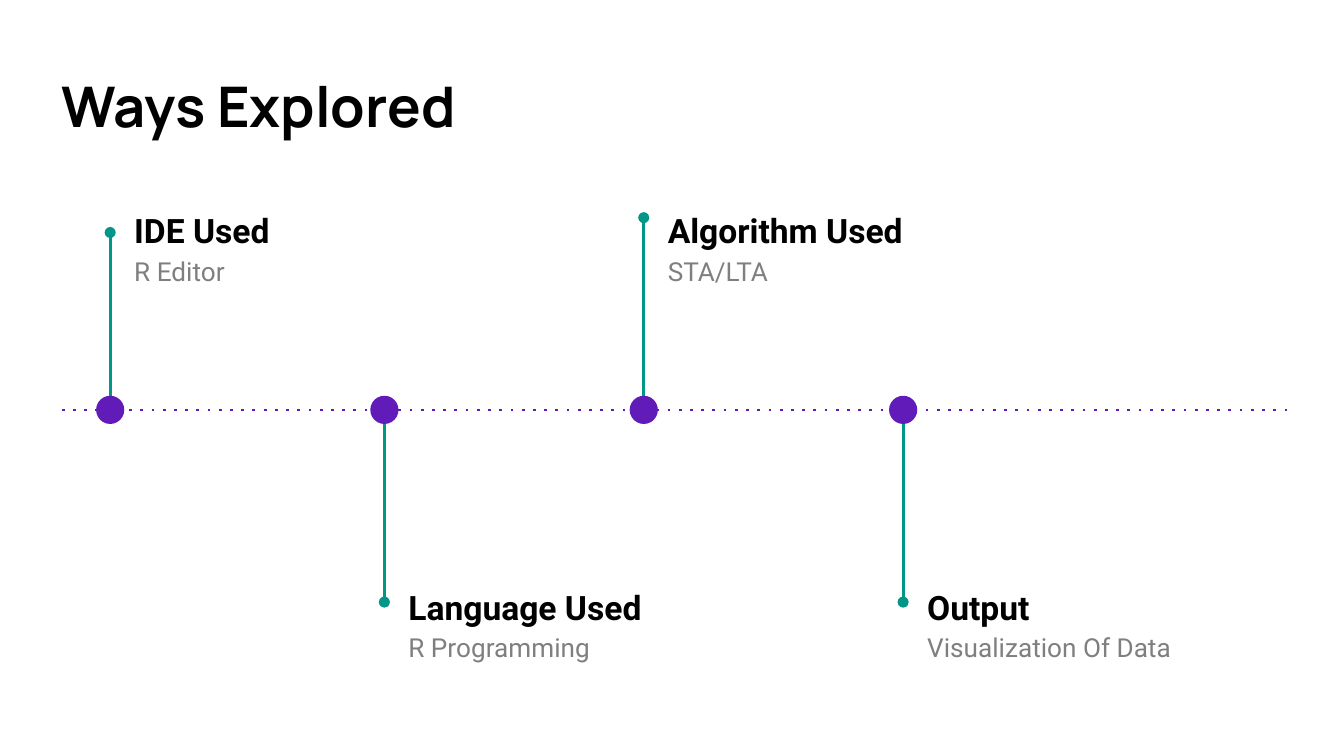
"""Build a timeline slide of four explored ways, set above and below a dotted axis."""
from typing import NamedTuple

from lxml import etree
from pptx import Presentation
from pptx import util as u
from pptx.dml.color import RGBColor
from pptx.enum import shapes, text
from pptx.oxml.ns import qn

PURPLE, TEAL, BLACK, GREY = "611BB8", "009688", "000000", "7F7F7F"
AXIS = 3.05
DOT = 0.21


class Step(NamedTuple):
    x: float
    tip: float
    top: float
    head: str
    note: str


class Style(NamedTuple):
    size: int
    font: str
    color: str
    bold: bool


TITLE = Style(30, "Manrope", BLACK, True)
HEAD = Style(18, "Roboto", BLACK, True)
NOTE = Style(14, "Roboto", GREY, False)

STEPS = [
    Step(0.82, 1.73, 1.42, "IDE Used", "R Editor"),
    Step(2.86, 4.48, 4.22, "Language Used", "R Programming"),
    Step(4.79, 1.62, 1.42, "Algorithm Used", "STA/LTA"),
    Step(6.72, 4.48, 4.22, "Output", "Visualization Of Data"),
]


def paint(target, color: str) -> None:
    target.rgb = RGBColor.from_string(color)


def add_line(slide, start: tuple, end: tuple, color: str, mark: str, kind: str) -> None:
    ends = [u.Inches(n) for n in (*start, *end)]
    line = slide.shapes.add_connector(shapes.MSO_CONNECTOR.STRAIGHT, *ends)
    line.line.width = u.Pt(1.5)
    paint(line.line.color, color)
    props = line._element.spPr
    tag = etree.SubElement(props.find(qn("a:ln")), qn(f"a:{mark}"))
    tag.set("val" if mark == "prstDash" else "type", kind)
    etree.SubElement(props, qn("a:effectLst"))


def add_dot(slide, x: float) -> None:
    box = [u.Inches(n) for n in (x - DOT / 2, AXIS - DOT / 2, DOT, DOT)]
    dot = slide.shapes.add_shape(shapes.MSO_SHAPE.OVAL, *box)
    dot.shadow.inherit = False
    dot.fill.solid()
    paint(dot.fill.fore_color, PURPLE)
    dot.line.fill.background()


def add_text(slide, box: tuple, rows: list[tuple[str, Style]], space: float, anchor) -> None:
    frame = slide.shapes.add_textbox(*[u.Inches(n) for n in box]).text_frame
    frame.word_wrap = True
    frame.vertical_anchor = anchor
    frame.margin_left = frame.margin_right = u.Inches(0.1)
    frame.margin_top = frame.margin_bottom = u.Inches(0.1)
    frame.text = "\n".join(words for words, _ in rows)
    for para, (_, style) in zip(frame.paragraphs, rows):
        para.line_spacing = space
        font = para.runs[0].font
        font.size, font.name, font.bold = u.Pt(style.size), style.font, style.bold
        paint(font.color, style.color)


def add_step(slide, step: Step) -> None:
    edge = AXIS + (DOT / 2 if step.tip > AXIS else -DOT / 2)
    add_line(slide, (step.x, edge), (step.x, step.tip), TEAL, "tailEnd", "oval")
    add_dot(slide, step.x)
    rows = [(step.head, HEAD), (step.note, NOTE)]
    box = (step.x + 0.08, step.top, 2.91, 1.06)
    add_text(slide, box, rows, 1.15, text.MSO_ANCHOR.TOP)


def main() -> None:
    deck = Presentation()
    deck.slide_width = u.Inches(10)
    deck.slide_height = deck.slide_width * 9 // 16
    slide = deck.slides.add_slide(deck.slide_layouts[6])
    title = [("Ways Explored", TITLE)]
    add_text(slide, (0.36, 0.44, 9.32, 0.68), title, 1.0, text.MSO_ANCHOR.MIDDLE)
    add_line(slide, (0.46, AXIS), (9.58, AXIS), PURPLE, "prstDash", "dot")
    for step in STEPS:
        add_step(slide, step)
    deck.save("out.pptx")


if __name__ == "__main__":
    main()
